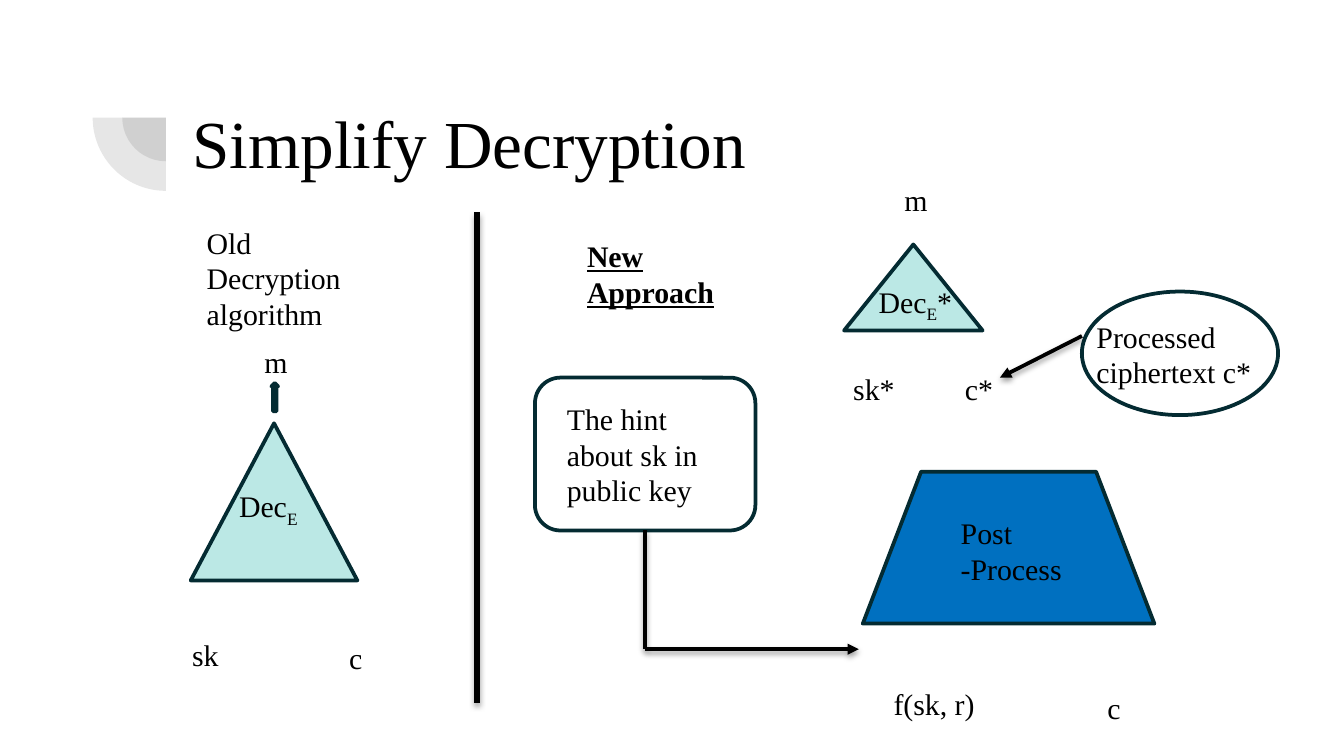
import lxml.etree
import pptx
import pptx.dml.color
import pptx.enum.shapes
import pptx.enum.text
import pptx.oxml.ns
import pptx.util

Pt = pptx.util.Pt
RGBColor = pptx.dml.color.RGBColor
SHAPES = pptx.enum.shapes.MSO_SHAPE
STRAIGHT = pptx.enum.shapes.MSO_CONNECTOR.STRAIGHT
AUTO_SIZE = pptx.enum.text.MSO_AUTO_SIZE
ANCHOR = pptx.enum.text.MSO_ANCHOR

BLACK = RGBColor(0x00, 0x00, 0x00)
OUTLINE = RGBColor(0x04, 0x2B, 0x32)
MINT = RGBColor(0xBB, 0xE8, 0xE5)
TEAL = RGBColor(0x0B, 0x63, 0x74)
BLUE = RGBColor(0x00, 0x70, 0xC0)
GREY = RGBColor(0x42, 0x42, 0x42)

LABEL_FONT = {"name": "Times New Roman", "size": Pt(16)}
TITLE_FONT = {"name": "Times New Roman", "size": Pt(36)}
HEADING_FONT = {**LABEL_FONT, "bold": True, "underline": True}
LABEL_FRAME = {
    "word_wrap": True, "auto_size": AUTO_SIZE.SHAPE_TO_FIT_TEXT,
    "margin_left": Pt(7.2), "margin_right": Pt(7.2),
    "margin_top": Pt(3.6), "margin_bottom": Pt(3.6),
}
TITLE_FRAME = {
    "word_wrap": True, "vertical_anchor": ANCHOR.MIDDLE,
    "margin_left": 0, "margin_right": 0, "margin_top": 0, "margin_bottom": 0,
}

# left, top, width, height, text; "_" marks the next letter as a subscript
LABELS = [
    (95.8, 337.7, 30.5, 26, "sk"),
    (180, 339.1, 25.2, 26, "c"),
    (121, 257.8, 55.4, 28.8, "Dec_E"),
    (134.6, 180.7, 25.2, 26, "m"),
    (103.7, 116.6, 89.3, 64.8, "Old Decryption algorithm"),
    (450, 195.1, 37.4, 26, "sk*"),
    (509.8, 195.1, 36.7, 26, "c*"),
    (477.4, 93.6, 25.2, 26, "m"),
    (463.7, 148.3, 55.4, 28.8, "Dec_E*"),
    (586.1, 365.8, 25.2, 26, "c"),
    (471.6, 363.6, 61.2, 26, "f(sk, r)"),
    (296.6, 211, 97.2, 64.8, "The hint about sk in public key"),
    (580.3, 167, 108.7, 45.4, "Processed ciphertext c*"),
    (507.6, 272.2, 97.2, 45.4, "Post -Process"),
]


def set_attributes(target, values):
    for name, value in values.items():
        setattr(target, name, value)


def add_child(parent, tag, **attributes):
    return lxml.etree.SubElement(parent, pptx.oxml.ns.qn(tag), attributes)


def add_run(paragraph, text, font, subscript=False):
    run = paragraph.add_run()
    run.text = text
    set_attributes(run.font, font)
    run.font.color.rgb = BLACK
    if subscript:
        run.font._element.set("baseline", "-25000")


def add_text(slide, box, text, font=LABEL_FONT, frame=LABEL_FRAME):
    shape = slide.shapes.add_textbox(*map(Pt, box))
    set_attributes(shape.text_frame, frame)
    paragraph = shape.text_frame.paragraphs[0]
    base, _, rest = text.partition("_")
    add_run(paragraph, base, font)
    if rest:
        add_run(paragraph, rest[0], font, subscript=True)
    if rest[1:]:
        add_run(paragraph, rest[1:], font)
    return paragraph


def add_outlined(slide, kind, box, fill=None, rotation=0):
    shape = slide.shapes.add_shape(kind, *map(Pt, box))
    shape.shadow.inherit = False
    shape.rotation = rotation
    if fill is None:
        shape.fill.background()
    else:
        shape.fill.solid()
        shape.fill.fore_color.rgb = fill
    shape.line.color.rgb = OUTLINE
    shape.line.width = Pt(2)
    return shape


def add_quarter_disc(slide, center_x, center_y, radius):
    """Draw the lower left quarter of a pale, see-through disc."""
    box = (center_x - radius, center_y - radius, 2 * radius, 2 * radius)
    shape = add_outlined(slide, SHAPES.PIE, box, GREY, rotation=270)
    shape.adjustments[0] = 108
    shape.adjustments[1] = 162
    shape.line.fill.background()
    color = shape.fill._xPr.find(".//" + pptx.oxml.ns.qn("a:srgbClr"))
    add_child(color, "a:alpha", val="13000")


def add_line(slide, start, end, width=2, arrow=False, opacity=38, distance=1.6):
    """Draw a black line with a soft shadow straight below it."""
    line = slide.shapes.add_connector(STRAIGHT, *map(Pt, start + end))
    line.line.color.rgb = BLACK
    line.line.width = Pt(width)
    if arrow:
        add_child(line.line._get_or_add_ln(), "a:tailEnd", type="triangle")
    effects = add_child(line._element.spPr, "a:effectLst")
    shadow = add_child(effects, "a:outerShdw", blurRad=str(Pt(3.1)),
                       dist=str(Pt(distance)), dir="5400000", rotWithShape="0")
    color = add_child(shadow, "a:srgbClr", val=str(BLACK))
    add_child(color, "a:alpha", val=str(opacity * 1000))
    return line


def add_title(slide):
    for radius in (23.4, 39.25):
        add_quarter_disc(slide, 88.9, 63, radius)
    paragraph = add_text(slide, (103, 46.8, 553.7, 63.4),
                         "Simplify Decryption", TITLE_FONT, TITLE_FRAME)
    paragraph.line_spacing = 0.9


def add_diagram(slide):
    add_outlined(slide, SHAPES.ISOSCELES_TRIANGLE, (102.2, 226.8, 89.3, 84.2), MINT)
    add_outlined(slide, SHAPES.UP_ARROW, (145.4, 205.2, 3.6, 15.1), TEAL)
    add_outlined(slide, SHAPES.ISOSCELES_TRIANGLE, (452.2, 131, 74.2, 46.1), MINT)
    add_outlined(slide, SHAPES.FLOWCHART_MANUAL_OPERATION,
                 (462.2, 252.7, 156.2, 81.4), BLUE, rotation=180)
    add_outlined(slide, SHAPES.OVAL, (579.6, 156.2, 105.1, 66.2))
    hint = add_outlined(slide, SHAPES.ROUNDED_RECTANGLE, (286.6, 202.3, 118.1, 81.9))

    add_line(slide, (255.6, 113.8), (255.6, 376.6), 3, opacity=35, distance=1.8)
    add_line(slide, (579.6, 180), (535.7, 202.3), arrow=True)
    corner = (345.65, 347.8)
    stem = add_line(slide, (345.65, 284.2), corner)
    stem.begin_connect(hint, 2)
    add_line(slide, corner, (460.1, 347.8), arrow=True)


def main():
    presentation = pptx.Presentation()
    presentation.slide_width = Pt(720)
    presentation.slide_height = Pt(405)
    slide = presentation.slides.add_slide(presentation.slide_layouts[6])
    add_title(slide)
    add_diagram(slide)
    for *box, text in LABELS:
        add_text(slide, box, text)
    add_text(slide, (307.4, 123.8, 97.2, 45.4), "New Approach", HEADING_FONT)
    presentation.save("out.pptx")


if __name__ == "__main__":
    main()
